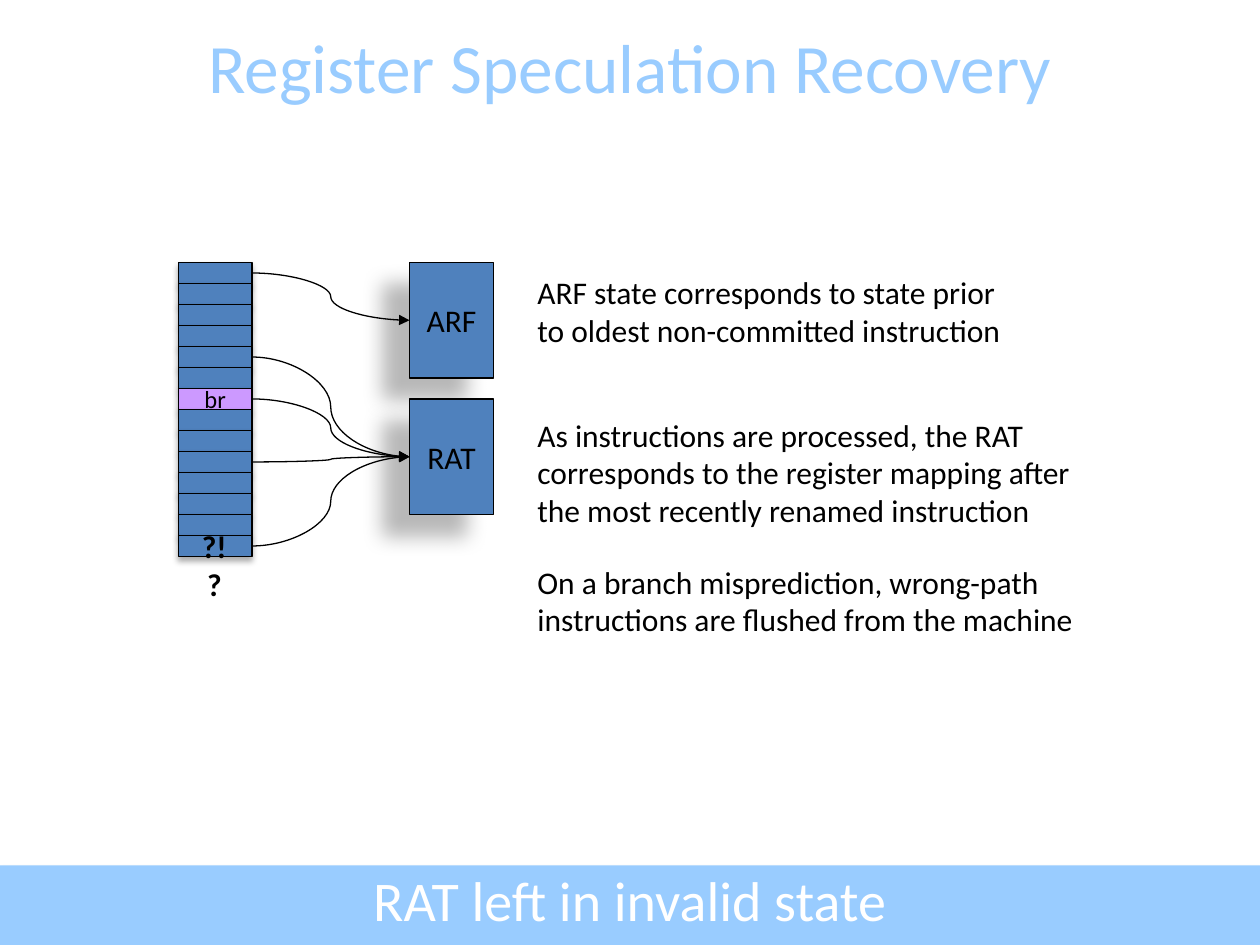
from lxml.etree import SubElement
from pptx import Presentation
from pptx.dml.color import RGBColor
from pptx.enum.shapes import MSO_CONNECTOR, MSO_SHAPE
from pptx.enum.text import MSO_ANCHOR, PP_ALIGN
from pptx.oxml.ns import qn
from pptx.util import Pt

# Content
TITLE = "Register Speculation Recovery"
CONCLUSION = "RAT left in invalid state"
ENTRY_COUNT = 14
BRANCH_ENTRY = 6
UNKNOWN = "?!?"
TABLES = ["ARF", "RAT"]
LINKS = [(0, "ARF"), (4, "RAT"), (6, "RAT"), (9, "RAT"), (13, "RAT")]
NOTES = [  # top, height, lines
    (152.5, 51, ["ARF state corresponds to state prior",
                 "to oldest non-committed instruction"]),
    (234, 72, ["As instructions are processed, the RAT corresponds "
               "to the register mapping after",
               "the most recently renamed instruction"]),
    (318, 50.5, ["On a branch misprediction, wrong-path",
                 "instructions are flushed from the machine"]),
]

THEME = {
    "font": "Calibri",
    "accent": "99CCFF", "box": "4F81BD", "branch": "CC99FF",
    "ink": "000000", "paper": "FFFFFF",
    "title": 39.6, "conclusion": 32, "body": 18, "small": 14,
    "line": 0.75,
}
# Shadows: opacity %, blur, distance, angle
BAND_SHADOW = (35, 3.1, 1.8, 90)
ENTRY_SHADOW = (32, 3.5, 2.2, 90)
TABLE_SHADOW = (28, 11.8, 19.7, 141)

# Layout
WIDTH, HEIGHT = 720, 540
BUFFER_LEFT, BUFFER_TOP = 102, 150
ENTRY_WIDTH, ENTRY_HEIGHT = 42, 12
TABLE_LEFT, TABLE_WIDTH, TABLE_HEIGHT, TABLE_PITCH = 234, 48, 66, 78
NOTE_LEFT, NOTE_WIDTH = 300, 348
BAND_HEIGHT = 45.5


def rgb(name):
    return RGBColor.from_string(THEME[name])


def write(shape, lines, size, color="ink", align=PP_ALIGN.CENTER,
          anchor=MSO_ANCHOR.MIDDLE, bold=False, wrap=True):
    frame = shape.text_frame
    frame.text = "\n".join(lines)
    frame.word_wrap = wrap
    frame.vertical_anchor = anchor
    for paragraph in frame.paragraphs:
        paragraph.alignment = align
        font = paragraph.font
        font.name, font.size, font.bold = THEME["font"], Pt(THEME[size]), bold
        font.color.rgb = rgb(color)


def add_label(slide, box, lines, size, **style):
    write(slide.shapes.add_textbox(*map(Pt, box)), lines, size, **style)


def add_box(slide, box, fill, shadow, outlined=True):
    shape = slide.shapes.add_shape(MSO_SHAPE.RECTANGLE, *map(Pt, box))
    shape.fill.solid()
    shape.fill.fore_color.rgb = rgb(fill)
    if outlined:
        shape.line.color.rgb = rgb("ink")
        shape.line.width = Pt(THEME["line"])
    else:
        shape.line.fill.background()
    shape.shadow.inherit = False
    opacity, blur, distance, angle = shadow
    effects = shape._element.spPr.find(qn("a:effectLst"))
    outer = SubElement(effects, qn("a:outerShdw"), blurRad=str(Pt(blur)),
                       dist=str(Pt(distance)), dir=str(angle * 60000),
                       algn="ctr", rotWithShape="0")
    color = SubElement(outer, qn("a:srgbClr"), val=THEME["ink"])
    SubElement(color, qn("a:alpha"), val=str(opacity * 1000))
    return shape


def add_link(slide, entry, table):
    link = slide.shapes.add_connector(MSO_CONNECTOR.CURVE, 0, 0, 0, 0)
    link.begin_connect(entry, 3)  # right side
    link.end_connect(table, 1)  # left side
    link.line.color.rgb = rgb("ink")
    link.line.width = Pt(THEME["line"])
    SubElement(link.line._get_or_add_ln(), qn("a:tailEnd"), type="triangle")
    SubElement(link._element.spPr, qn("a:effectLst"))


def main():
    deck = Presentation()
    deck.slide_width, deck.slide_height = Pt(WIDTH), Pt(HEIGHT)
    slide = deck.slides.add_slide(deck.slide_layouts[6])

    # Title and bottom band
    add_box(slide, (0, HEIGHT - BAND_HEIGHT, WIDTH, BAND_HEIGHT), "accent",
            BAND_SHADOW, outlined=False)
    add_label(slide, (0, 15, WIDTH, BAND_HEIGHT), [TITLE], "title",
              color="accent")

    # Reorder buffer entries
    entries = []
    for row in range(ENTRY_COUNT):
        box = (BUFFER_LEFT, BUFFER_TOP + row * ENTRY_HEIGHT,
               ENTRY_WIDTH, ENTRY_HEIGHT)
        fill = "branch" if row == BRANCH_ENTRY else "box"
        entries.append(add_box(slide, box, fill, ENTRY_SHADOW))
    write(entries[BRANCH_ENTRY], ["br"], "small", wrap=False)

    # Register tables
    tables = {}
    for index, name in enumerate(TABLES):
        box = (TABLE_LEFT, BUFFER_TOP + index * TABLE_PITCH,
               TABLE_WIDTH, TABLE_HEIGHT)
        tables[name] = add_box(slide, box, "box", TABLE_SHADOW)
        write(tables[name], [name], "body", wrap=False)

    # Links from entries to tables
    for row, name in LINKS:
        add_link(slide, entries[row], tables[name])

    # Explanations
    for top, height, lines in NOTES:
        add_label(slide, (NOTE_LEFT, top, NOTE_WIDTH, height), lines, "body",
                  align=PP_ALIGN.LEFT, anchor=MSO_ANCHOR.TOP)

    # Unknown state mark and conclusion
    add_label(slide, (106, 297.5, 33, 29), [UNKNOWN], "body", bold=True,
              anchor=MSO_ANCHOR.TOP)
    add_label(slide, (0, 491, WIDTH, BAND_HEIGHT), [CONCLUSION], "conclusion",
              color="paper", anchor=MSO_ANCHOR.TOP)

    deck.save("out.pptx")


if __name__ == "__main__":
    main()
